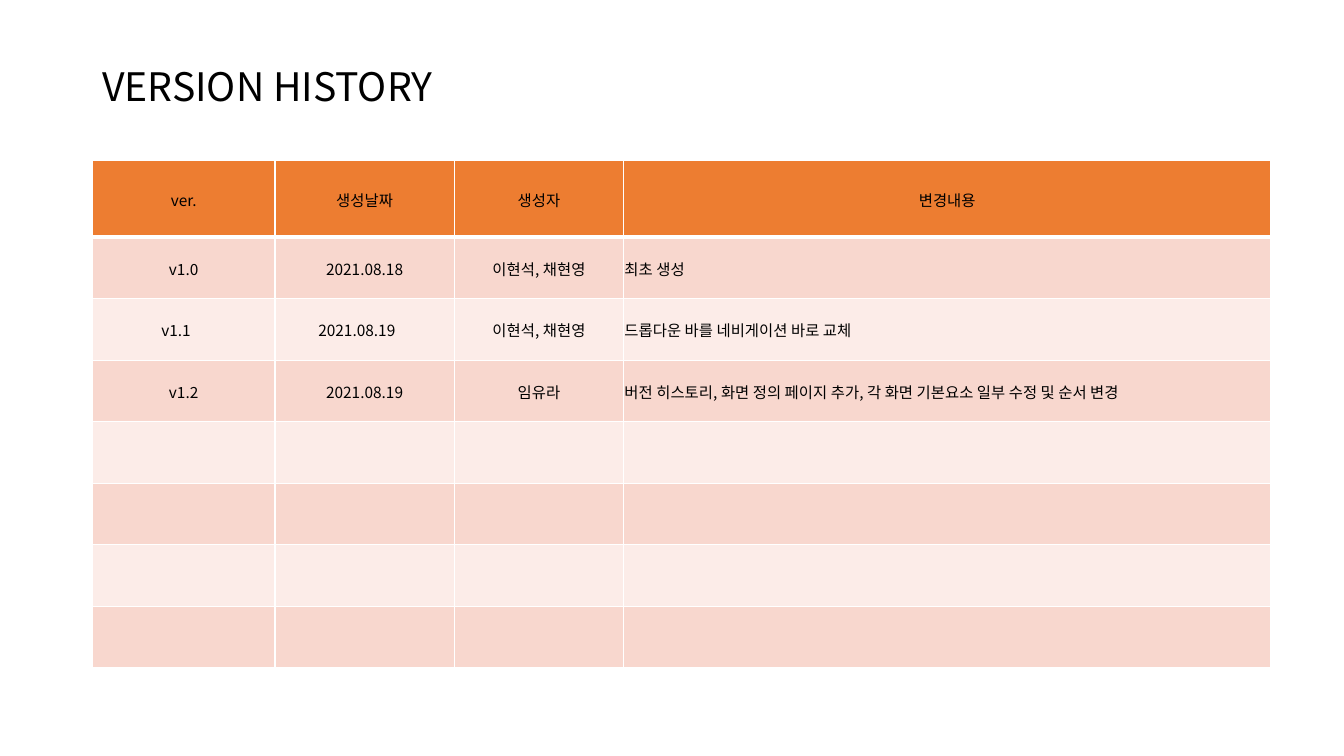
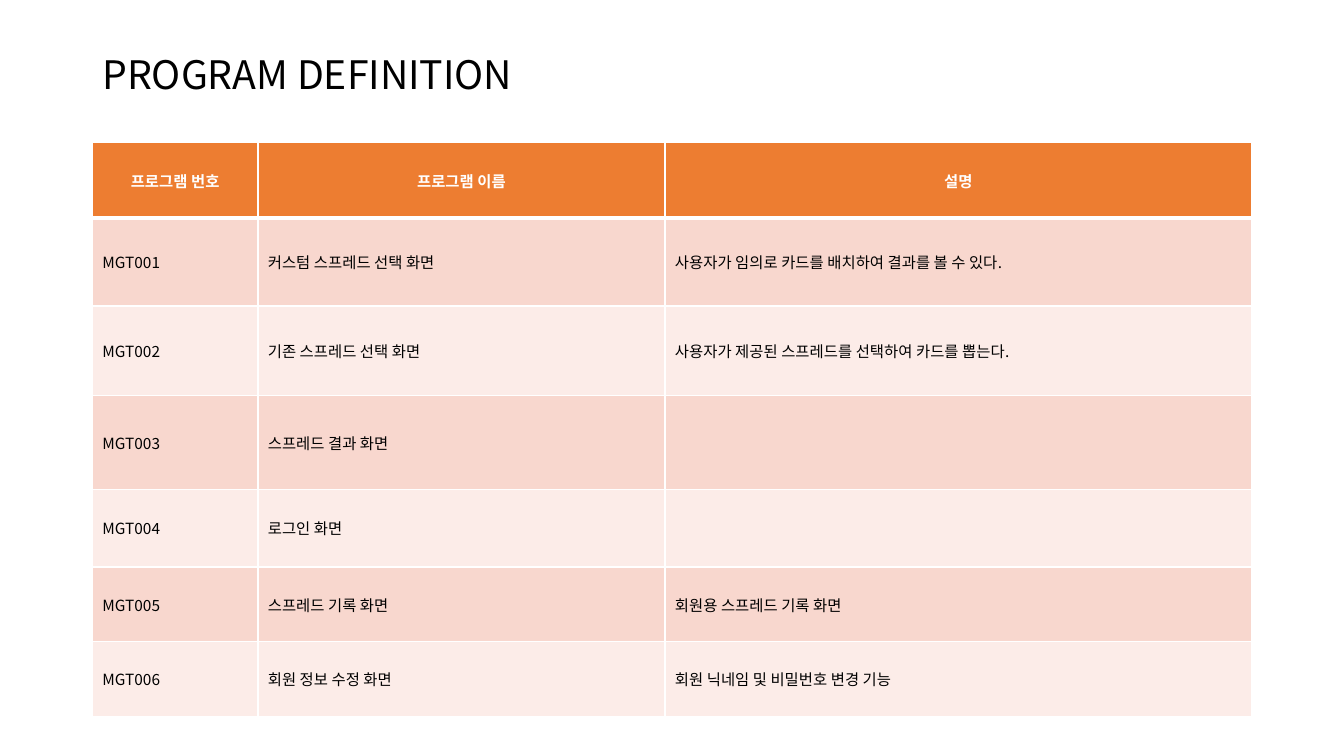
from collections import namedtuple
from dataclasses import dataclass

from lxml import etree
from pptx import Presentation
from pptx import util as u
from pptx.dml import color
from pptx.enum import text
from pptx.oxml import ns

Box = namedtuple("Box", "left top width height")
CENTER, LEFT = text.PP_ALIGN.CENTER, text.PP_ALIGN.LEFT


@dataclass(frozen=True)
class Theme:
    font: str = "Noto Sans CJK KR"
    ink: str = "000000"
    paper: str = "FFFFFF"
    header: str = "ED7D31"
    bands: tuple = ("F8D7CE", "FCECE8")
    title_size: int = 28
    table_size: int = 11
    rule: int = 1
    header_rule: int = 3


@dataclass(frozen=True)
class TableStyle:
    aligns: tuple
    header_ink: str
    header_bold: bool
    margins: tuple


THEME = Theme()
HISTORY_STYLE = TableStyle((CENTER, CENTER, CENTER, LEFT), THEME.ink, False, (0.02, 0.02, 0.02, 0))
PROGRAM_STYLE = TableStyle((LEFT, LEFT, LEFT), THEME.paper, True, (0.25, 0.13, 0.25, 0.13))

HISTORY = [
    ("ver.", "생성날짜", "생성자", "변경내용"),
    ("v1.0", "2021.08.18", "이현석, 채현영", "최초 생성"),
    ("v1.1　", "2021.08.19　", "이현석, 채현영", "드롭다운 바를 네비게이션 바로 교체"),
    ("v1.2", "2021.08.19", "임유라",
     "버전 히스토리, 화면 정의 페이지 추가, 각 화면 기본요소 일부 수정 및 순서 변경"),
] + [("", "", "", "")] * 4

PROGRAMS = [
    ("프로그램 번호", "프로그램 이름", "설명"),
    ("MGT001", "커스텀 스프레드 선택 화면", "사용자가 임의로 카드를 배치하여 결과를 볼 수 있다."),
    ("MGT002", "기존 스프레드 선택 화면", "사용자가 제공된 스프레드를 선택하여 카드를 뽑는다."),
    ("MGT003", "스프레드 결과 화면", ""),
    ("MGT004", "로그인 화면", ""),
    ("MGT005", "스프레드 기록 화면", "회원용 스프레드 기록 화면"),
    ("MGT006", "회원 정보 수정 화면", "회원 닉네임 및 비밀번호 변경 기능"),
]


def add_run(para, words, size, ink, bold=False):
    span = para.add_run()
    span.text = words
    span.font.size = u.Pt(size)
    span.font.bold = bold
    span.font.color.rgb = color.RGBColor.from_string(ink)
    span.font.name = THEME.font
    east_asian = etree.SubElement(span.font._element, ns.qn("a:ea"))
    east_asian.set("typeface", THEME.font)


def add_title(page, box, words):
    frame = page.shapes.add_textbox(*map(u.Cm, box)).text_frame
    frame.word_wrap = True
    frame.vertical_anchor = text.MSO_ANCHOR.MIDDLE
    para = frame.paragraphs[0]
    para.line_spacing = 0.9
    add_run(para, words, THEME.title_size, THEME.ink)


def set_borders(cell, top, bottom):
    properties = cell._tc.get_or_add_tcPr()
    widths = {"L": THEME.rule, "R": THEME.rule, "T": top, "B": bottom}
    for side, width in widths.items():
        line = etree.SubElement(properties, ns.qn(f"a:ln{side}"), w=str(u.Pt(width)))
        fill = etree.SubElement(line, ns.qn("a:solidFill"))
        etree.SubElement(fill, ns.qn("a:srgbClr"), val=THEME.paper)


def fill_cell(cell, words, row, align, style):
    is_header = row == 0
    set_borders(
        cell,
        THEME.header_rule if row == 1 else THEME.rule,
        THEME.header_rule if is_header else THEME.rule,
    )
    cell.fill.solid()
    shade = THEME.header if is_header else THEME.bands[(row - 1) % 2]
    cell.fill.fore_color.rgb = color.RGBColor.from_string(shade)
    cell.vertical_anchor = text.MSO_ANCHOR.MIDDLE
    (cell.margin_left, cell.margin_top,
     cell.margin_right, cell.margin_bottom) = map(u.Cm, style.margins)
    if words:
        para = cell.text_frame.paragraphs[0]
        para.alignment = CENTER if is_header else align
        add_run(para, words, THEME.table_size,
                style.header_ink if is_header else THEME.ink,
                is_header and style.header_bold)


def add_grid(page, left, top, widths, heights, records, style):
    box = Box(left, top, sum(widths), sum(heights))
    table = page.shapes.add_table(len(heights), len(widths), *map(u.Cm, box)).table
    table.horz_banding = False
    for column, width in zip(table.columns, widths):
        column.width = u.Cm(width)
    for row, (height, record) in enumerate(zip(heights, records)):
        table.rows[row].height = u.Cm(height)
        for column, (words, align) in enumerate(zip(record, style.aligns)):
            fill_cell(table.cell(row, column), words, row, align, style)


def add_table_page(deck, title, title_box, table_top, widths, heights, records, style):
    page = deck.slides.add_slide(deck.slide_layouts[6])
    add_title(page, title_box, title)
    add_grid(page, title_box.left, table_top, widths, heights, records, style)


def main():
    deck = Presentation()
    deck.slide_width, deck.slide_height = u.Cm(33.87), u.Cm(19.05)
    add_table_page(
        deck, "VERSION HISTORY", Box(2.33, 1.01, 29.21, 2.44), 4.05,
        (4.6, 4.52, 4.27, 16.31), [1.93] + [1.55] * 7, HISTORY, HISTORY_STYLE,
    )
    add_table_page(
        deck, "PROGRAM DEFINITION", Box(2.33, 1.01, 29.21, 1.85), 3.6,
        (4.17, 10.26, 14.78), (1.9, 2.21, 2.26, 2.36, 1.96, 1.88, 1.88), PROGRAMS, PROGRAM_STYLE,
    )
    deck.save("out.pptx")


if __name__ == "__main__":
    main()
